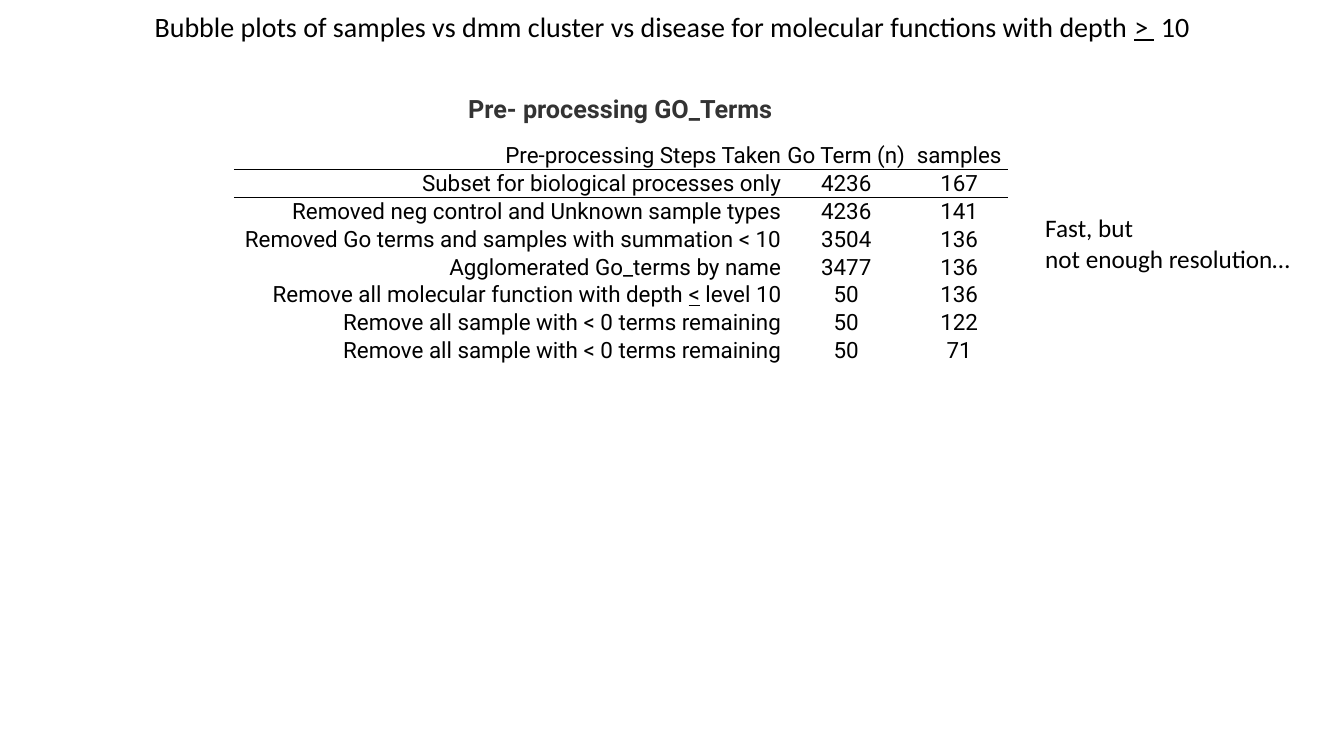
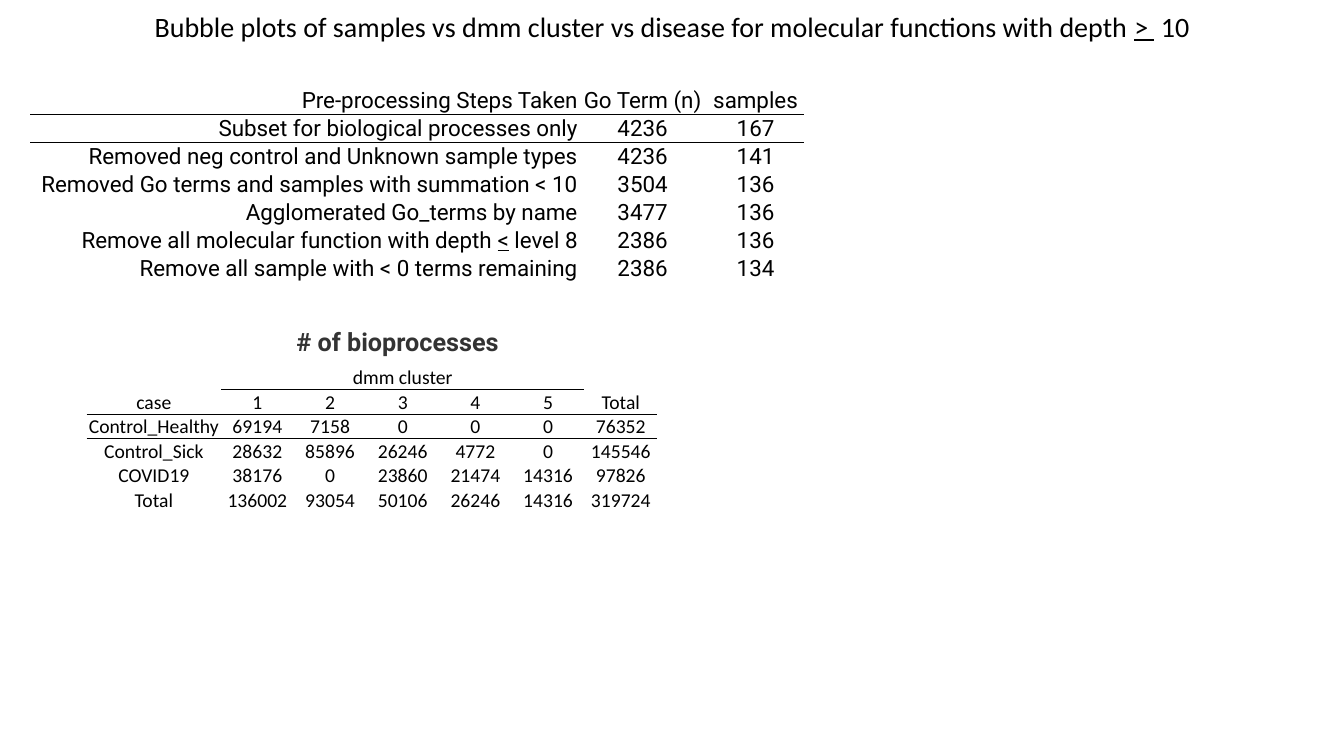
from dataclasses import dataclass

from lxml import etree
from pptx import Presentation
from pptx.dml.color import RGBColor
from pptx.enum.text import MSO_ANCHOR, MSO_AUTO_SIZE, PP_ALIGN
from pptx.oxml.ns import qn
from pptx.util import Inches, Pt

LEFT, CENTER, RIGHT = PP_ALIGN.LEFT, PP_ALIGN.CENTER, PP_ALIGN.RIGHT
TOP, MIDDLE, BOTTOM = MSO_ANCHOR.TOP, MSO_ANCHOR.MIDDLE, MSO_ANCHOR.BOTTOM
NO_FIT = MSO_AUTO_SIZE.NONE
TITLE_ONLY = 5
WIDTH, HEIGHT = Inches(13.33), Inches(7.5)
PLAIN_TABLE = "{2D5ABB26-0587-4C30-8999-92F81FD0307C}"


@dataclass(frozen=True)
class Style:
    """Typeface, size in points, colour and weight of a text role."""
    font: str
    size: int
    color: str = "000000"
    bold: bool = False


@dataclass(frozen=True)
class Theme:
    """Text roles and table rules shared by the slides."""
    title: Style = Style("Calibri", 20)
    heading: Style = Style("Roboto", 18, "333333", True)
    note: Style = Style("Calibri", 18)
    steps: Style = Style("Roboto", 16)
    counts: Style = Style("Calibri", 14)
    rule_color: str = "000000"
    rule_width: float = 0.5


THEME = Theme()

TITLE = (
    "Bubble plots of samples vs dmm cluster vs disease for molecular functions with depth ",
    "> ",
    " 10",
)
SHARED_STEPS = [
    ("Pre-processing Steps Taken", "Go Term (n)", "samples"),
    ("Subset for biological processes only", "4236", "167"),
    ("Removed neg control and Unknown sample types", "4236", "141"),
    ("Removed Go terms and samples with summation < 10", "3504", "136"),
    ("Agglomerated Go_terms by name", "3477", "136"),
]
DROP_EMPTY = "Remove all sample with < 0 terms remaining"
CLUSTER_COUNTS = [
    ("", "dmm cluster", "", "", "", "", ""),
    ("case", "1", "2", "3", "4", "5", "Total"),
    ("Control_Healthy", "69194", "7158", "0", "0", "0", "76352"),
    ("Control_Sick", "28632", "85896", "26246", "4772", "0", "145546"),
    ("COVID19", "38176", "0", "23860", "21474", "14316", "97826"),
    ("Total", "136002", "93054", "50106", "26246", "14316", "319724"),
]


def x(percent):
    """Return a percentage of the slide width."""
    return round(WIDTH * percent / 100)


def y(percent):
    """Return a percentage of the slide height."""
    return round(HEIGHT * percent / 100)


def depth_step(level):
    """Return the label of the depth filter, with its sign as the second piece."""
    return "Remove all molecular function with depth ", "<", f" level {level}"


def write(p, text, style, align):
    """Fill a paragraph; in a tuple of pieces every second one is underlined."""
    p.alignment = align
    for i, piece in enumerate((text,) if isinstance(text, str) else text):
        r = p.add_run()
        r.text = piece
        r.font.name = style.font
        r.font.size = Pt(style.size)
        r.font.bold = style.bold
        r.font.underline = i % 2 == 1
        r.font.color.rgb = RGBColor.from_string(style.color)


def place(sp, left, top, width, height):
    """Set a shape's box in percentages of the slide."""
    sp.left, sp.top, sp.width, sp.height = x(left), y(top), x(width), y(height)


def add_titled_slide(prs):
    """Add a slide with the common title."""
    s = prs.slides.add_slide(prs.slide_layouts[TITLE_ONLY])
    sp = s.shapes.title
    place(sp, 0, 0.53, 100, 5.87)
    tf = sp.text_frame
    tf.auto_size, tf.vertical_anchor = NO_FIT, TOP
    write(tf.paragraphs[0], TITLE, THEME.title, CENTER)
    return s


def add_text(s, box, lines, style, align=LEFT, wrap=True):
    """Add a text box with one paragraph a line."""
    sp = s.shapes.add_textbox(0, 0, 0, 0)
    place(sp, *box)
    tf = sp.text_frame
    tf.word_wrap = wrap
    for i, line in enumerate(lines):
        p = tf.add_paragraph() if i else tf.paragraphs[0]
        write(p, line, style, align)


def add_rule(cell, edge):
    """Draw a thin line on one edge of a cell."""
    ln = etree.SubElement(cell._tc.get_or_add_tcPr(), qn(f"a:{edge}"),
                          w=str(Pt(THEME.rule_width)))
    fill = etree.SubElement(ln, qn("a:solidFill"))
    etree.SubElement(fill, qn("a:srgbClr"), val=THEME.rule_color)


def format_cell(cell, text, style, align, anchor, edges):
    """Write one cell with tight margins, ruled edges and no fill."""
    cell.margin_left = cell.margin_right = cell.margin_top = Inches(0.01)
    cell.margin_bottom = 0
    cell.vertical_anchor = anchor
    p = cell.text_frame.paragraphs[0]
    if text:
        write(p, text, style, align)
    else:
        etree.SubElement(p._p, qn("a:endParaRPr"), sz=str(style.size * 100))
    for edge in edges:
        add_rule(cell, edge)
    cell.fill.background()


def add_grid(s, left, top, cols, row_height, rows, style, aligns, anchor, rules):
    """Add a plain table; rules maps a row to the columns underlined in it."""
    frame = s.shapes.add_table(len(rows), len(cols), x(left), y(top),
                               x(sum(cols)), y(row_height * len(rows)))
    next(frame.element.iter(qn("a:tableStyleId"))).text = PLAIN_TABLE
    table = frame.table
    table.first_row = table.horz_banding = False
    for col, width in zip(table.columns, cols):
        col.width = x(width)
    for i, row in enumerate(rows):
        table.rows[i].height = y(row_height)
        for j, text in enumerate(row):
            edges = [edge for edge, k in (("lnT", i - 1), ("lnB", i))
                     if j in rules.get(k, ())]
            format_cell(table.cell(i, j), text, style, aligns[j], anchor, edges)
    return table


def add_steps(s, left, top, last_steps):
    """Add the table of pre-processing steps."""
    add_grid(s, left, top, (40.8, 9.53, 7.28), 3.7, SHARED_STEPS + last_steps,
             THEME.steps, (RIGHT, CENTER, CENTER), MIDDLE, {0: range(3)})


def add_cluster_counts(s, left, top):
    """Add the table of counts by case and cluster."""
    table = add_grid(s, left, top, [10] + [5.41] * 6, 3.24, CLUSTER_COUNTS,
                     THEME.counts, [CENTER] * 7, BOTTOM,
                     {0: range(1, 6), 1: range(7)})
    table.cell(0, 1).merge(table.cell(0, 5))


def build_depth_10(prs):
    """Build the slide for the filter at level 10."""
    s = add_titled_slide(prs)
    add_text(s, (21.15, 11.73, 50, 5.33), ["Pre- processing GO_Terms"],
             THEME.heading, CENTER)
    add_steps(s, 17.4, 18.67, [
        (depth_step(10), "50", "136"),
        (DROP_EMPTY, "50", "122"),
        (DROP_EMPTY, "50", "71"),
    ])
    add_text(s, (77.03, 27.47, 19.95, 9.47),
             ["Fast, but", "not enough resolution…"], THEME.note, wrap=False)


def build_depth_8(prs):
    """Build the slide for the filter at level 8."""
    s = add_titled_slide(prs)
    add_text(s, (9.15, 42.53, 41.33, 5.33), ["# of bioprocesses "],
             THEME.heading, CENTER)
    add_steps(s, 2.25, 11.47, [
        (depth_step(8), "2386", "136"),
        (DROP_EMPTY, "2386", "134"),
    ])
    add_cluster_counts(s, 6.45, 48.27)


def main():
    """Build and save the presentation."""
    prs = Presentation()
    prs.slide_width, prs.slide_height = WIDTH, HEIGHT
    build_depth_10(prs)
    build_depth_8(prs)
    prs.save("out.pptx")


if __name__ == "__main__":
    main()
